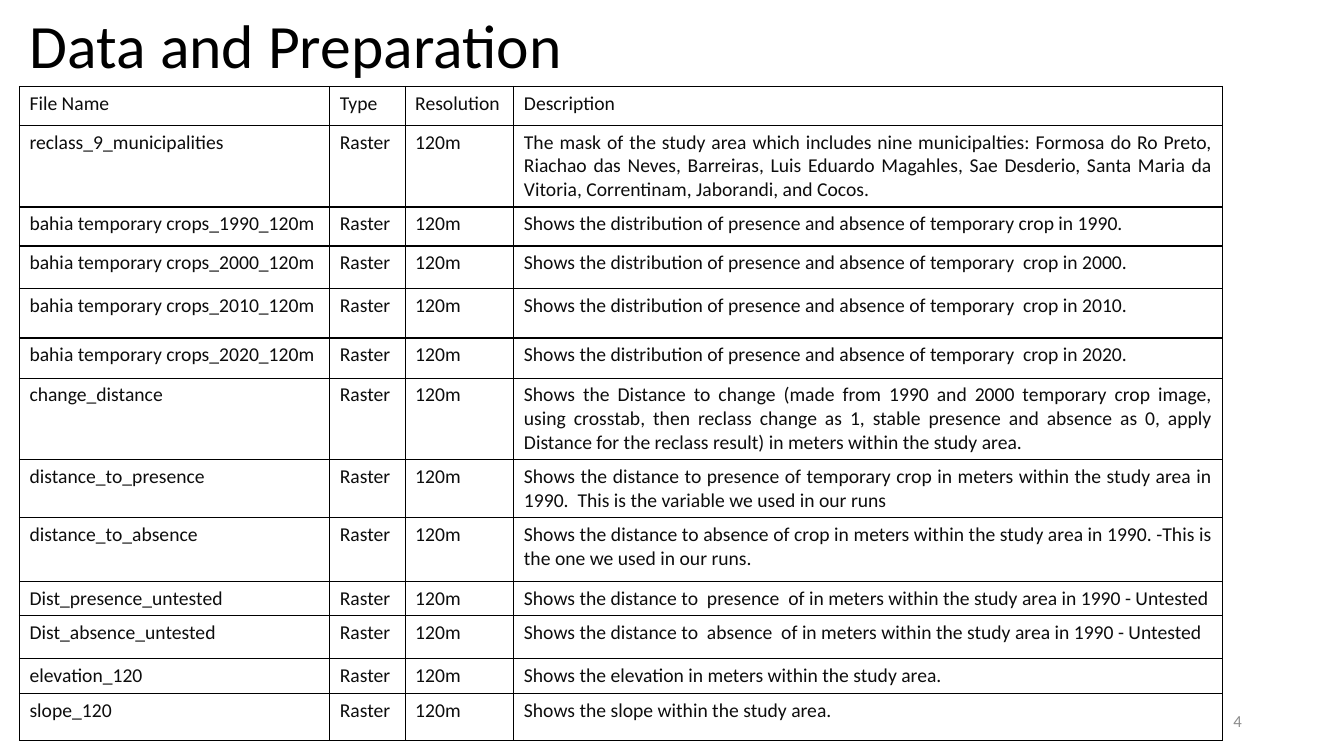
from lxml import etree
from pptx import Presentation
from pptx.dml.color import RGBColor
from pptx.enum.text import MSO_ANCHOR, MSO_AUTO_SIZE, PP_ALIGN
from pptx.oxml.ns import qn
from pptx.util import Cm, Pt

BLACK = RGBColor(0x00, 0x00, 0x00)
INK = RGBColor(0x0D, 0x0D, 0x0D)
GREY = RGBColor(0x8C, 0x8C, 0x8C)
FONT = "Calibri"
MIDDLE = MSO_ANCHOR.MIDDLE
NO_FIT = MSO_AUTO_SIZE.NONE
LEFT, RIGHT, JUSTIFY = PP_ALIGN.LEFT, PP_ALIGN.RIGHT, PP_ALIGN.JUSTIFY

WIDTHS = [7.82, 1.9, 2.74, 17.86]
HEAD = ["File Name", "Type", "Resolution", "Description"]

# File name, description and row height in cm
FILES = [
    ("reclass_9_municipalities",
     "The mask of the study area which includes nine municipalties: "
     "Formosa do Ro Preto, Riachao das Neves, Barreiras, Luis Eduardo "
     "Magahles, Sae Desderio, Santa Maria da Vitoria, Correntinam, "
     "Jaborandi, and Cocos.", 2.05),
    ("bahia temporary crops_1990_120m",
     "Shows the distribution of presence and absence of temporary crop "
     "in 1990.", 0.98),
    *[(f"bahia temporary crops_{year}_120m",
       "Shows the distribution of presence and absence of temporary  crop "
       f"in {year}.", height)
      for year, height in [(2000, 1.08), (2010, 1.24), (2020, 1.01)]],
    ("change_distance",
     "Shows the Distance to change (made from 1990 and 2000 temporary crop "
     "image, using crosstab, then reclass change as 1, stable presence and "
     "absence as 0, apply Distance for the reclass result) in meters within "
     "the study area.", 2.05),
    ("distance_to_presence",
     "Shows the distance to presence of temporary crop in meters within the "
     "study area in 1990.  This is the variable we used in our runs", 1.46),
    ("distance_to_absence",
     "Shows the distance to absence of crop in meters within the study area "
     "in 1990. -This is the one we used in our runs.", 1.61),
    *[(f"Dist_{state}_untested",
       f"Shows the distance to  {state}  of in meters within the study area "
       "in 1990 - Untested", height)
      for state, height in [("presence", 0.84), ("absence", 1.08)]],
    ("elevation_120",
     "Shows the elevation in meters within the study area.", 0.88),
    ("slope_120", "Shows the slope within the study area.", 1.18),
]


def write(frame, text, size, color, align):
    frame.text = text
    para = frame.paragraphs[0]
    para.alignment = align
    font = para.runs[0].font
    font.name, font.size, font.bold = FONT, Pt(size), False
    font.color.rgb = color
    return para


def place(shape, left, top, width, height):
    shape.left, shape.top = Cm(left), Cm(top)
    shape.width, shape.height = Cm(width), Cm(height)


def border(cell):
    props = cell._tc.get_or_add_tcPr()
    for side in ("lnL", "lnR", "lnT", "lnB"):
        line = etree.SubElement(props, qn(f"a:{side}"), w=str(Pt(1)))
        fill = etree.SubElement(line, qn("a:solidFill"))
        etree.SubElement(fill, qn("a:srgbClr"), val=str(BLACK))


def add_title(slide, text):
    title = slide.shapes.title
    place(title, 0.5, 0, 27.9, 2.44)
    frame = title.text_frame
    frame.auto_size = NO_FIT
    frame.vertical_anchor = MIDDLE
    write(frame, text, 44, BLACK, LEFT).line_spacing = 0.9


def add_files(slide):
    rows = [HEAD] + [[name, "Raster", "120m", note] for name, note, _ in FILES]
    heights = [0.98] + [height for _, _, height in FILES]
    table = slide.shapes.add_table(
        len(rows), len(WIDTHS), Cm(0.49), Cm(2.18),
        Cm(sum(WIDTHS)), Cm(sum(heights))).table
    table.first_row = table.horz_banding = False
    for column, width in zip(table.columns, WIDTHS):
        column.width = Cm(width)
    for r, (row, height) in enumerate(zip(rows, heights)):
        table.rows[r].height = Cm(height)
        for c, text in enumerate(row):
            cell = table.cell(r, c)
            border(cell)
            cell.fill.background()
            write(cell.text_frame, text, 14, INK, JUSTIFY if r else LEFT)


def add_number(slide, text):
    box = slide.shapes.add_textbox(Cm(23.93), Cm(17.65), Cm(7.62), Cm(1.02))
    frame = box.text_frame
    frame.word_wrap = True
    frame.vertical_anchor = MIDDLE
    write(frame, text, 12, GREY, RIGHT)


def main():
    deck = Presentation()
    deck.slide_width, deck.slide_height = Cm(33.87), Cm(19.05)
    slide = deck.slides.add_slide(deck.slide_layouts[5])
    add_files(slide)
    add_title(slide, "Data and Preparation")
    add_number(slide, "4")
    deck.save("out.pptx")


if __name__ == "__main__":
    main()
